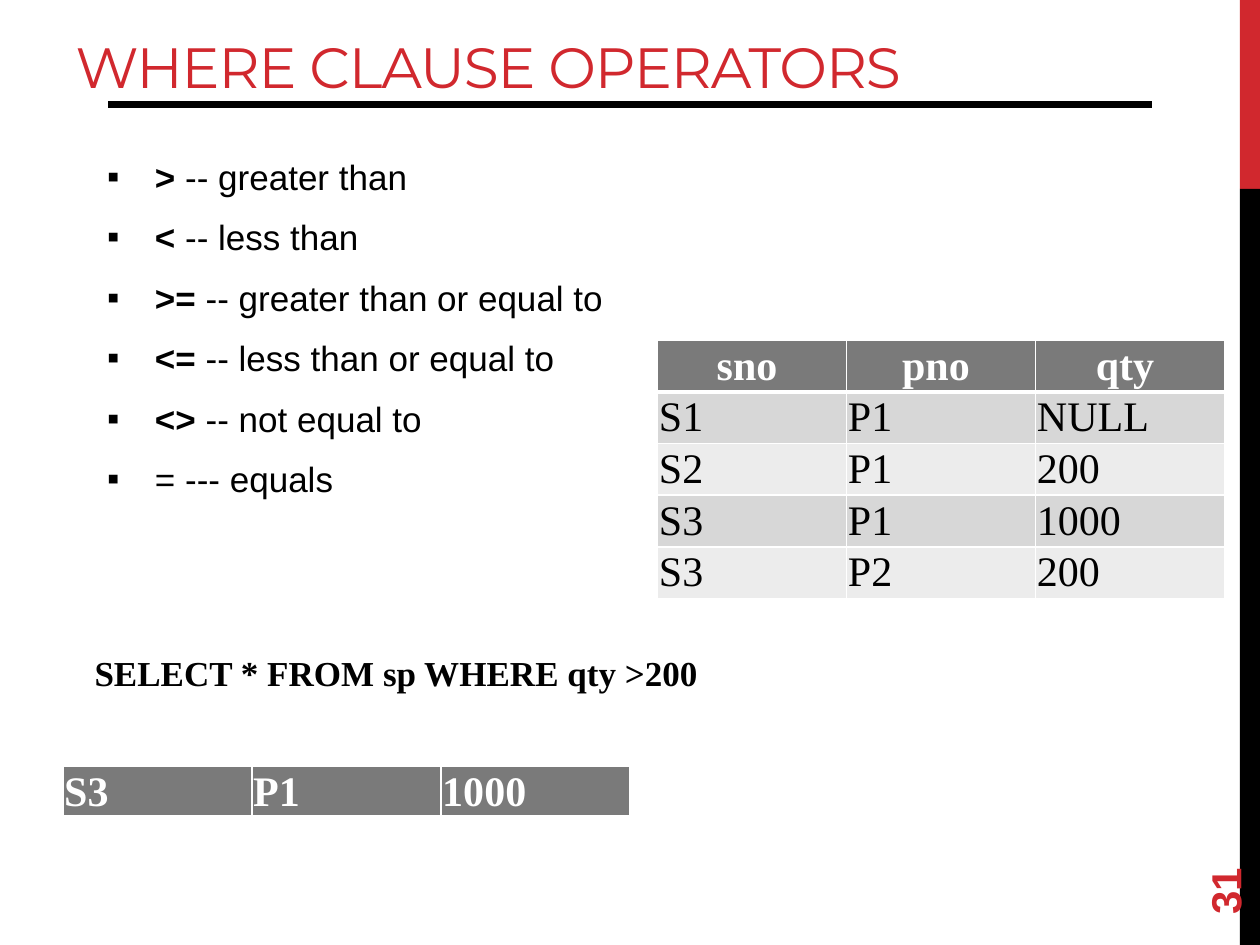
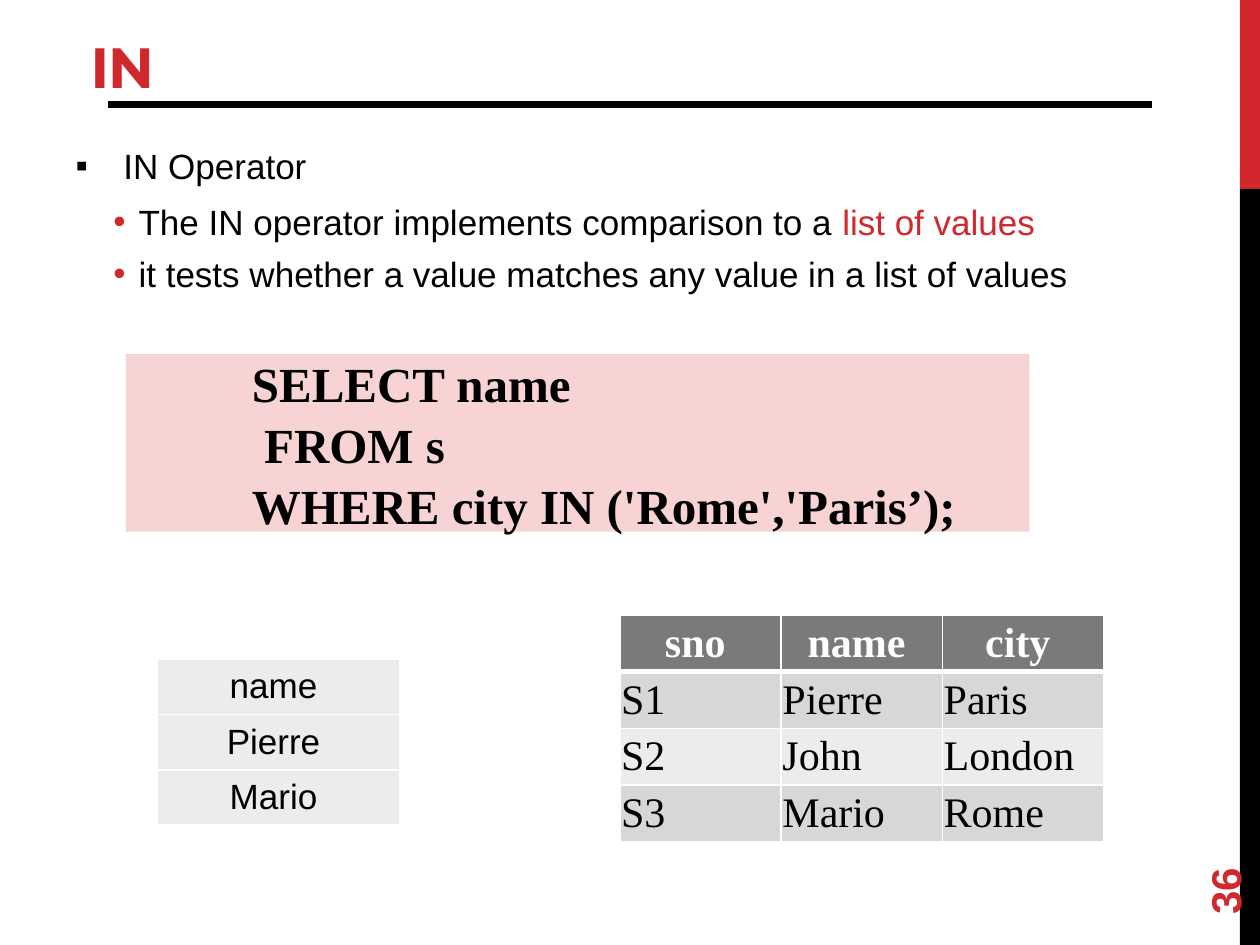
from dataclasses import dataclass

from lxml import etree
from pptx import Presentation
from pptx.dml.color import RGBColor
from pptx.enum import shapes, text
from pptx.oxml import ns
from pptx.util import Inches, Pt

# Shared colours and fonts
RED, BLACK, WHITE = "D1282E", "000000", "FFFFFF"
HEADER, DARK_ROW, LIGHT_ROW, PINK = "7A7A7A", "D7D7D7", "ECECEC", "F7D3D4"
SANS, SERIF, DISPLAY = "Arial", "Times New Roman", "Montserrat"
LINE_SPACING = 1.04


@dataclass(frozen=True)
class Run:
    text: str
    bold: bool = False
    color: str = BLACK


@dataclass(frozen=True)
class Bullet:
    runs: tuple[Run, ...]
    level: int = 0


@dataclass(frozen=True)
class Level:
    char: str
    color: str
    margin: float
    indent: float
    gap: float


LEVELS = (Level("▪", BLACK, 0.38, -0.38, 4.8), Level("•", RED, 0.5, -0.2, 2.4))


@dataclass(frozen=True)
class Grid:
    left: float
    top: float
    col_width: float
    row_height: float
    rows: tuple[tuple[str, ...], ...]
    has_header: bool = True
    centered: bool = False
    size: float = 24
    font: str = SERIF


def rgb(color: str) -> RGBColor:
    return RGBColor.from_string(color)


def box(left: float, top: float, width: float, height: float) -> tuple:
    return tuple(Inches(v) for v in (left, top, width, height))


def sub(parent, tag: str, **attrs: str):
    return etree.SubElement(parent, ns.qn(tag), attrs)


def add_run(p, run: Run, size: float, font: str):
    r = p.add_run()
    r.text = run.text
    r.font.size, r.font.name, r.font.bold = Pt(size), font, run.bold
    r.font.color.rgb = rgb(run.color)
    return r


def set_frame(tf, anchor, insets=(0.1, 0.05, 0.1, 0.05)) -> None:
    tf.word_wrap = True
    tf.auto_size = text.MSO_AUTO_SIZE.NONE
    tf.vertical_anchor = anchor
    tf.margin_left, tf.margin_top, tf.margin_right, tf.margin_bottom = box(*insets)


def place(sp, left: float, top: float, width: float, height: float) -> None:
    sp.left, sp.top, sp.width, sp.height = box(left, top, width, height)


def add_rect(slide, at: tuple, color: str):
    sp = slide.shapes.add_shape(shapes.MSO_SHAPE.RECTANGLE, *box(*at))
    sp.shadow.inherit = False
    sp.fill.solid()
    sp.fill.fore_color.rgb = rgb(color)
    sp.line.fill.background()
    return sp


def add_base_slide(prs, title: Run, number: str):
    slide = prs.slides.add_slide(prs.slide_layouts[1])

    # Side band and title rule
    add_rect(slide, (9.84, 0, 0.16, 1.5), RED)
    add_rect(slide, (9.84, 1.5, 0.16, 6), BLACK)
    rule = slide.shapes.add_connector(
        shapes.MSO_CONNECTOR.STRAIGHT, *box(0.86, 0.83, 9.14, 0.83))
    rule.line.color.rgb = rgb(BLACK)
    rule.line.width = Pt(4)
    sub(rule._element.spPr, "a:effectLst")

    # Title
    sp = slide.shapes.title
    place(sp, 0.5, 0.17, 9.33, 0.67)
    set_frame(sp.text_frame, text.MSO_ANCHOR.BOTTOM)
    p = sp.text_frame.paragraphs[0]
    p.alignment = text.PP_ALIGN.LEFT
    r = add_run(p, title, 32.4, DISPLAY)
    r._r.get_or_add_rPr().set("spc", "-60")

    # Rotated page number
    sp = slide.shapes.add_textbox(*box(9, 6.44, 1.44, 0.4))
    sp.rotation = 270
    set_frame(sp.text_frame, text.MSO_ANCHOR.MIDDLE)
    add_run(sp.text_frame.paragraphs[0], Run(number, True, RED), 24, SANS)
    return slide


def fill_list(slide, at: tuple, bullets: list[Bullet]) -> None:
    sp = slide.placeholders[1]
    place(sp, *at)
    tf = sp.text_frame
    set_frame(tf, text.MSO_ANCHOR.TOP)
    for i, bullet in enumerate(bullets):
        p = tf.add_paragraph() if i else tf.paragraphs[0]
        level = LEVELS[bullet.level]
        p.level = bullet.level
        p.line_spacing = LINE_SPACING
        p.space_before = p.space_after = Pt(level.gap)
        pPr = p._p.get_or_add_pPr()
        pPr.set("marL", str(Inches(level.margin)))
        pPr.set("indent", str(Inches(level.indent)))
        sub(sub(pPr, "a:buClr"), "a:srgbClr", val=level.color)
        sub(pPr, "a:buFont", typeface=SANS)
        sub(pPr, "a:buChar", char=level.char)
        for run in bullet.runs:
            add_run(p, run, 20, SANS)


def write_query(sp, lines: list[str], size: float, inset: float) -> None:
    tf = sp.text_frame
    set_frame(tf, text.MSO_ANCHOR.MIDDLE, (inset, 0, 0, 0))
    for i, line in enumerate(lines):
        p = tf.add_paragraph() if i else tf.paragraphs[0]
        p.alignment = text.PP_ALIGN.JUSTIFY
        p.line_spacing = LINE_SPACING
        add_run(p, Run(line, True), size, SERIF)


def set_borders(cell, top: float, bottom: float) -> None:
    tcPr = cell._tc.get_or_add_tcPr()
    edges = (("a:lnL", 1), ("a:lnR", 1), ("a:lnT", top), ("a:lnB", bottom))
    for i, (tag, width) in enumerate(edges):
        ln = etree.Element(ns.qn(tag), {"w": str(Pt(width))})
        sub(sub(ln, "a:solidFill"), "a:srgbClr", val=WHITE)
        tcPr.insert(i, ln)


def add_grid(slide, grid: Grid) -> None:
    n_rows, n_cols = len(grid.rows), len(grid.rows[0])
    table = slide.shapes.add_table(n_rows, n_cols, *box(
        grid.left, grid.top, n_cols * grid.col_width, n_rows * grid.row_height)).table
    table.first_row, table.horz_banding = grid.has_header, False
    for col in table.columns:
        col.width = Inches(grid.col_width)
    for i, values in enumerate(grid.rows):
        table.rows[i].height = Inches(grid.row_height)
        is_header = grid.has_header and i == 0
        band = DARK_ROW if grid.has_header and i % 2 else LIGHT_ROW
        for j, value in enumerate(values):
            cell = table.cell(i, j)
            cell.fill.solid()
            cell.fill.fore_color.rgb = rgb(HEADER if is_header else band)
            cell.vertical_anchor = text.MSO_ANCHOR.MIDDLE
            cell.margin_left = cell.margin_right = Inches(0.01)
            cell.margin_top = cell.margin_bottom = Inches(0.01)
            set_borders(cell, 3 if grid.has_header and i == 1 else 1,
                        3 if is_header else 1)
            p = cell.text_frame.paragraphs[0]
            centered = grid.centered or (is_header and n_rows > 1)
            p.alignment = text.PP_ALIGN.CENTER if centered else text.PP_ALIGN.LEFT
            add_run(p, Run(value, is_header, WHITE if is_header else BLACK),
                    grid.size, grid.font)


def build_operators(prs) -> None:
    slide = add_base_slide(prs, Run("WHERE CLAUSE OPERATORS", color=RED), "31")
    operators = ((">", "greater than"), ("<", "less than"),
                 (">=", "greater than or equal to"),
                 ("<=", "less than or equal to"), ("<>", "not equal to"))
    bullets = [Bullet((Run(sign, True), Run(f" -- {meaning}")))
               for sign, meaning in operators]
    fill_list(slide, (0.75, 1.17, 9, 2.92), bullets + [Bullet((Run("= --- equals"),))])

    # Query, source table and result
    sp = slide.shapes.add_textbox(*box(0.25, 5.16, 6.42, 0.34))
    write_query(sp, ["SELECT * FROM sp WHERE qty >200"], 20, 0.5)
    add_grid(slide, Grid(5.22, 2.7, 1.5, 0.41, (
        ("sno ", "pno ", "qty "), ("S1", "P1", "NULL"), ("S2", "P1", "200"),
        ("S3", "P1", "1000"), ("S3", "P2", "200"))))
    add_grid(slide, Grid(0.5, 6.08, 1.5, 0.41, (("S3", "P1", "1000"),)))


def build_in(prs) -> None:
    slide = add_base_slide(prs, Run(" IN", True, RED), "36")
    fill_list(slide, (0.5, 1.08, 9, 5.62), [
        Bullet((Run("IN Operator"),)),
        Bullet((Run("The IN operator implements comparison to a "),
                Run("list of values", color=RED)), 1),
        Bullet((Run("it tests whether a value matches any value in a list of values"),), 1),
    ])

    # Query, result and source table
    sp = add_rect(slide, (1, 2.81, 7.17, 1.41), PINK)
    write_query(sp, ["SELECT name", " FROM s ", "WHERE city IN ('Rome','Paris’);"], 28, 1)
    add_grid(slide, Grid(1.25, 5.23, 1.92, 0.44, (("name ",), ("Pierre ",), ("Mario ",)),
                         has_header=False, centered=True, size=20, font=SANS))
    add_grid(slide, Grid(4.92, 4.88, 1.28, 0.45, (
        ("sno ", "name ", "city "), ("S1", "Pierre", "Paris"),
        ("S2", "John", "London"), ("S3", "Mario", "Rome"))))


def main() -> None:
    prs = Presentation()
    prs.slide_width, prs.slide_height = Inches(10), Inches(7.5)
    build_operators(prs)
    build_in(prs)
    prs.save("out.pptx")


if __name__ == "__main__":
    main()
